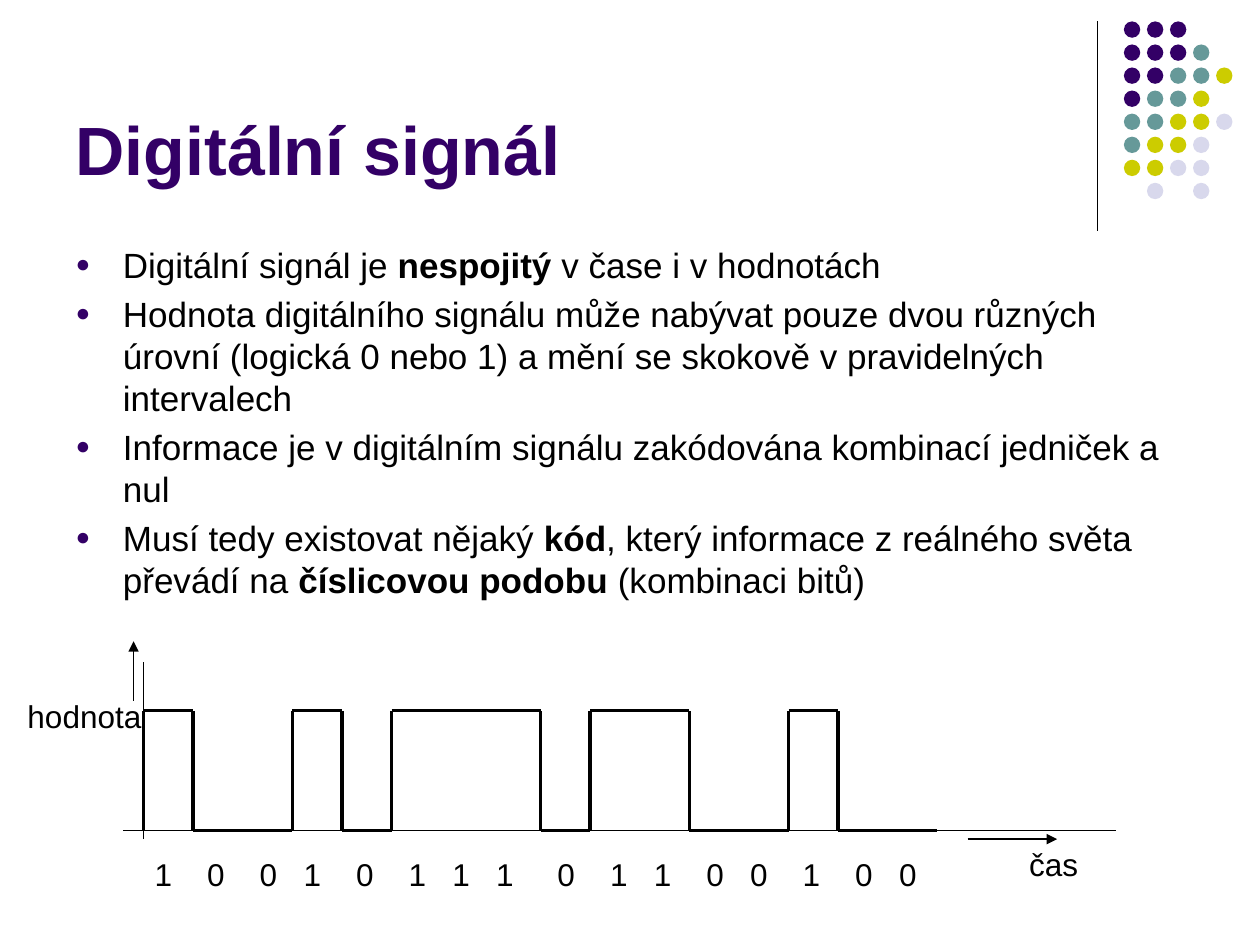
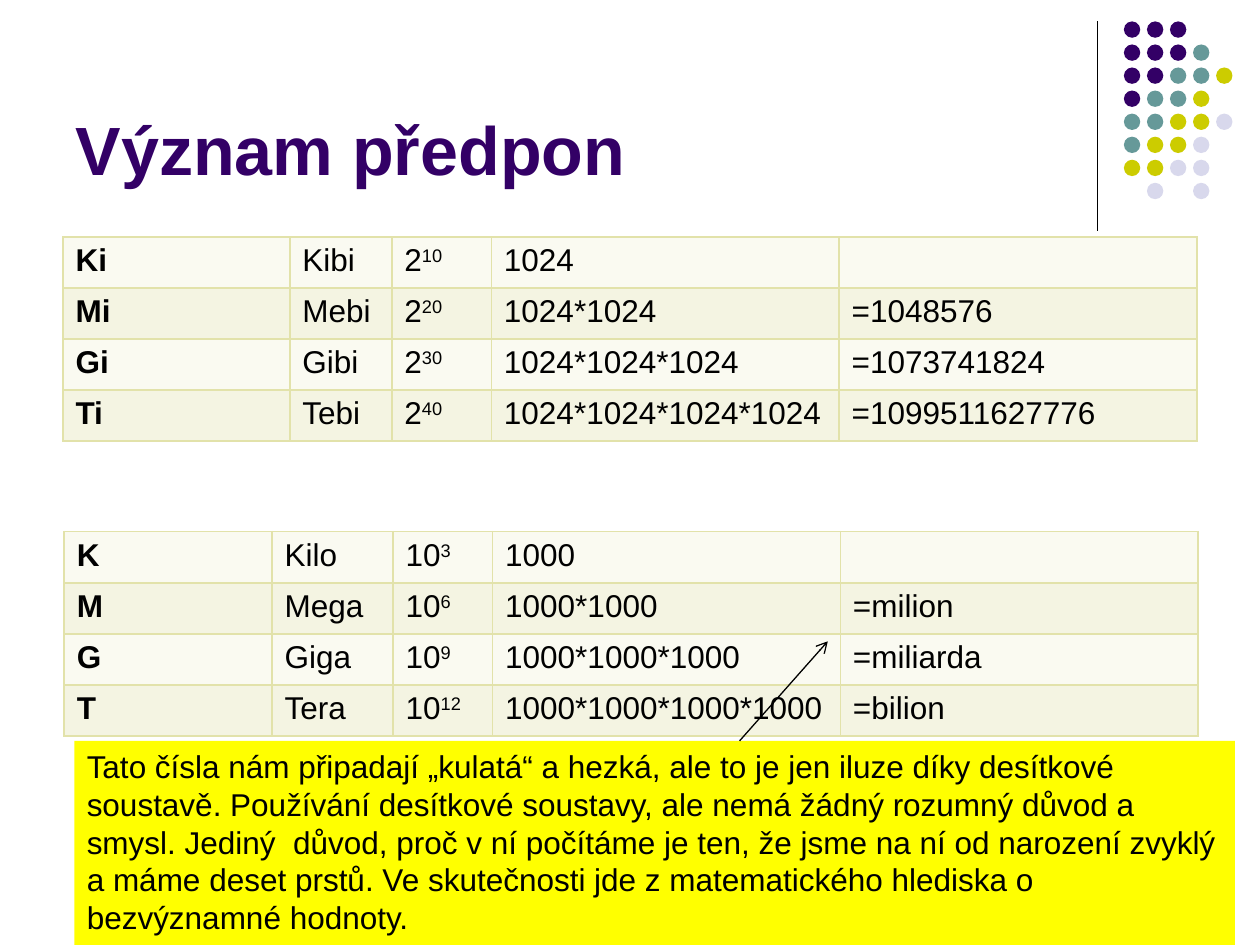
from collections import namedtuple

from lxml import etree
from pptx import Presentation
from pptx import util as u
from pptx.dml.color import RGBColor
from pptx.enum import shapes, text
from pptx.oxml import ns

COLORS = {
    "ink": "000000", "purple": "330066", "teal": "669999", "olive": "CCCC00",
    "lilac": "D8D8EC", "border": "E2E2AA", "row_light": "FAFAF1",
    "row_dark": "F4F4E2", "note": "FFFF00",
}
FONT = "Arial"
WIDTH, HEIGHT = u.Inches(10), u.Inches(7.5)
COLUMNS = 100                      # square grid: 100 columns by 75 rows
UNIT = WIDTH / COLUMNS

Box = namedtuple("Box", "left top width height")
TITLE = Box(5, 1.3, 82.5, 14.2)
BODY = Box(5, 18.8, 90, 48.2)
ORNAMENT = Box(87.1, 1.7, 10.7, 16.6)
SIGNAL = Box(11.4, 56.4, 63, 9.5)
BINARY_TABLE = Box(5, 18.8, 90, 16.2)
DECIMAL_TABLE = Box(5.1, 42.2, 90, 16)
NOTE = Box(5.9, 58.8, 92.1, 16.2)

DOT_COLORS = {"P": "purple", "T": "teal", "Y": "olive", "L": "lilac"}
DOT_ROWS = ["PPP", "PPPT", "PPTTY", "PTTY", "TTYYL", "TYYL", "YYLL", ".L.L"]
DOT_PITCH, DOT_SIZE = 1.83, 1.3

BITS = "1001011101100100"
BIT_GAPS = [1, 4, 4, 3, 4, 4, 3, 3, 5, 4, 3, 4, 3, 4, 4, 3]   # half digits
HALF_DIGIT = 0.695

BULLETS = [
    ["Digitální signál je ", ("nespojitý", "bold"), " v čase i v hodnotách"],
    ["Hodnota digitálního signálu může nabývat pouze dvou různých úrovní "
     "(logická 0 nebo 1) a mění se skokově v pravidelných intervalech"],
    ["Informace je v digitálním signálu zakódována kombinací jedniček a nul"],
    ["Musí tedy existovat nějaký ", ("kód", "bold"),
     ", který informace z reálného světa převádí na ",
     ("číslicovou podobu", "bold"), " (kombinaci bitů)"],
]
BINARY_ROWS = [("Ki", "Kibi", "10", ""), ("Mi", "Mebi", "20", "=1048576"),
               ("Gi", "Gibi", "30", "=1073741824"),
               ("Ti", "Tebi", "40", "=1099511627776")]
DECIMAL_ROWS = [("K", "Kilo", "3", ""), ("M", "Mega", "6", "=milion"),
                ("G", "Giga", "9", "=miliarda"), ("T", "Tera", "12", "=bilion")]
NOTE_TEXT = (
    "Tato čísla nám připadají „kulatá“ a hezká, ale to je jen iluze díky "
    "desítkové soustavě. Používání desítkové soustavy, ale nemá žádný rozumný "
    "důvod a smysl. Jediný  důvod, proč v ní počítáme je ten, že jsme na ní od "
    "narození zvyklý a máme deset prstů. Ve skutečnosti jde z matematického "
    "hlediska o bezvýznamné hodnoty.")


# Shared helpers
def grid(*units):
    return [u.Emu(round(unit * UNIT)) for unit in units]


def color(name):
    return RGBColor.from_string(COLORS[name])


def add_xml(parent, tag, **attributes):
    return etree.SubElement(parent, ns.qn(tag), attributes)


def paint(shape, name):
    shape.shadow.inherit = False
    shape.fill.solid()
    shape.fill.fore_color.rgb = color(name)
    shape.line.fill.background()


def write(para, spans, size=18, ink="ink", bold=False):
    """Add each span, a text or a (text, style) pair, as one run."""
    for span in spans:
        words, style = (span, None) if isinstance(span, str) else span
        run = para.add_run()
        run.text = words
        run.font.name, run.font.size = FONT, u.Pt(size)
        run.font.bold = bold or style == "bold"
        run.font.color.rgb = color(ink)
        if style == "super":
            run.font._element.set("baseline", "30000")


def add_line(page, start, end, weight=0.75, head=None):
    line = page.shapes.add_connector(
        shapes.MSO_CONNECTOR.STRAIGHT, *grid(*start, *end))
    line.line.color.rgb = color("ink")
    line.line.width = u.Pt(weight)
    if head:
        add_xml(line.line._get_or_add_ln(), "a:tailEnd", type=head)
    add_xml(line._element.spPr, "a:effectLst")


def add_label(page, box, words):
    label = page.shapes.add_textbox(*grid(*box))
    label.text_frame.word_wrap = True
    para = label.text_frame.paragraphs[0]
    write(para, [words])
    return para


# Title and corner ornament of every page
def add_page(deck, layout, title):
    page = deck.slides.add_slide(deck.slide_layouts[layout])
    add_ornament(page, ORNAMENT)
    holder = page.shapes.title
    holder.left, holder.top, holder.width, holder.height = grid(*TITLE)
    frame = holder.text_frame
    frame.auto_size = text.MSO_AUTO_SIZE.NONE
    frame.vertical_anchor = text.MSO_ANCHOR.BOTTOM
    para = frame.paragraphs[0]
    para.alignment = text.PP_ALIGN.LEFT
    write(para, [title], 39, "purple", True)
    return page


def add_ornament(page, box):
    add_line(page, (box.left, box.top), (box.left, box.top + box.height))
    dots = page.shapes.add_group_shape()
    for row, pattern in enumerate(DOT_ROWS):
        for column, key in enumerate(pattern):
            if key in DOT_COLORS:
                dot = dots.shapes.add_shape(shapes.MSO_SHAPE.OVAL, *grid(
                    box.left + 2.1 + column * DOT_PITCH,
                    box.top + row * DOT_PITCH, DOT_SIZE, DOT_SIZE))
                paint(dot, DOT_COLORS[key])


# Bulleted list
def fill_body(page, box):
    holder = page.placeholders[1]
    holder.left, holder.top, holder.width, holder.height = grid(*box)
    frame = holder.text_frame
    frame.auto_size = text.MSO_AUTO_SIZE.NONE
    for index, spans in enumerate(BULLETS):
        para = frame.add_paragraph() if index else frame.paragraphs[0]
        properties = para._p.get_or_add_pPr()
        tint = add_xml(properties, "a:buClr")
        add_xml(tint, "a:srgbClr", val=COLORS["purple"])
        add_xml(properties, "a:buSzPct", val="70000")
        add_xml(properties, "a:buFont", typeface=FONT)
        add_xml(properties, "a:buChar", char="●")
        if index == 0:
            para.space_before = u.Pt(0)
        write(para, spans, 20)


# Digital signal over time
def add_signal(page, box):
    left, high, low = box.left, box.top, box.top + box.height
    step = box.width / len(BITS)

    # Axes with their direction arrows and names
    add_line(page, (left - 1.6, low), (left + 77.2, low))
    add_line(page, (left, low + 0.7), (left, high - 3.9))
    add_line(page, (left + 65.4, low + 0.7), (left + 72.5, low + 0.7),
             head="triangle")
    add_line(page, (left - 0.8, high - 0.8), (left - 0.8, high - 5.5),
             head="triangle")
    add_label(page, Box(left + 69.3, low + 0.7, 7.9, 4), "čas")
    add_label(page, Box(left - 10.2, high - 1.6, 12.6, 4), "hodnota")

    # One level per bit, and an edge wherever the bit changes
    previous = "0"
    for index, bit in enumerate(BITS):
        x, y = left + index * step, high if bit == "1" else low
        if bit != previous:
            add_line(page, (x, low), (x, high), 2)
        add_line(page, (x, y), (x + step, y), 2)
        previous = bit

    # Bit values on tab stops
    para = add_label(page, Box(left - 0.8, low + 1.5, 64.6, 4),
                     "".join("\t" + bit for bit in BITS))
    stops = add_xml(para._p.get_or_add_pPr(), "a:tabLst")
    place = 0
    for gap in BIT_GAPS:
        place += gap
        add_xml(stops, "a:tab", pos=str(grid(place * HALF_DIGIT)[0]), algn="l")
        place += 2


# Table of prefixes
def add_prefixes(page, box, rows, widths, heights, base, factor):
    table = page.shapes.add_table(
        len(rows), len(widths), *grid(*box)).table
    table.first_row = table.horz_banding = False
    for column, width in zip(table.columns, grid(*widths)):
        column.width = width
    for index, (symbol, name, power, value) in enumerate(rows):
        table.rows[index].height = grid(heights[index])[0]
        product = "*".join([factor] * (index + 1))
        contents = [[(symbol, "bold")], [name], [base, (power, "super")],
                    [product], [value] if value else []]
        for column, spans in enumerate(contents):
            cell = table.cell(index, column)
            write(cell.text_frame.paragraphs[0], spans)
            frame_cell(cell)
            cell.fill.solid()
            cell.fill.fore_color.rgb = color(
                "row_dark" if index % 2 else "row_light")


def frame_cell(cell):
    properties = cell._tc.get_or_add_tcPr()
    for side in "LRTB":
        edge = add_xml(properties, "a:ln" + side, w=str(u.Pt(1)))
        add_xml(add_xml(edge, "a:solidFill"), "a:srgbClr",
                val=COLORS["border"])


# Highlighted remark with an arrow to the table
def add_note(page, box):
    note = page.shapes.add_shape(shapes.MSO_SHAPE.RECTANGLE, *grid(*box))
    paint(note, "note")
    frame = note.text_frame
    frame.word_wrap = True
    frame.vertical_anchor = text.MSO_ANCHOR.TOP
    para = frame.paragraphs[0]
    para.alignment = text.PP_ALIGN.LEFT
    write(para, [NOTE_TEXT])
    start = box.left + 52.8
    add_line(page, (start, box.top), (start + 7, box.top - 7.9), head="arrow")


def main():
    deck = Presentation()
    deck.slide_width, deck.slide_height = WIDTH, HEIGHT

    page = add_page(deck, 1, "Digitální signál")
    fill_body(page, BODY)
    add_signal(page, SIGNAL)

    page = add_page(deck, 5, "Význam předpon")
    add_prefixes(page, BINARY_TABLE, BINARY_ROWS, [18, 8.1, 7.9, 27.6, 28.4],
                 [4.05] * 4, "2", "1024")
    add_prefixes(page, DECIMAL_TABLE, DECIMAL_ROWS, [16.5, 9.6, 7.9, 27.6, 28.4],
                 [3.8] + [4.05] * 3, "10", "1000")
    add_note(page, NOTE)

    deck.save("out.pptx")


if __name__ == "__main__":
    main()
